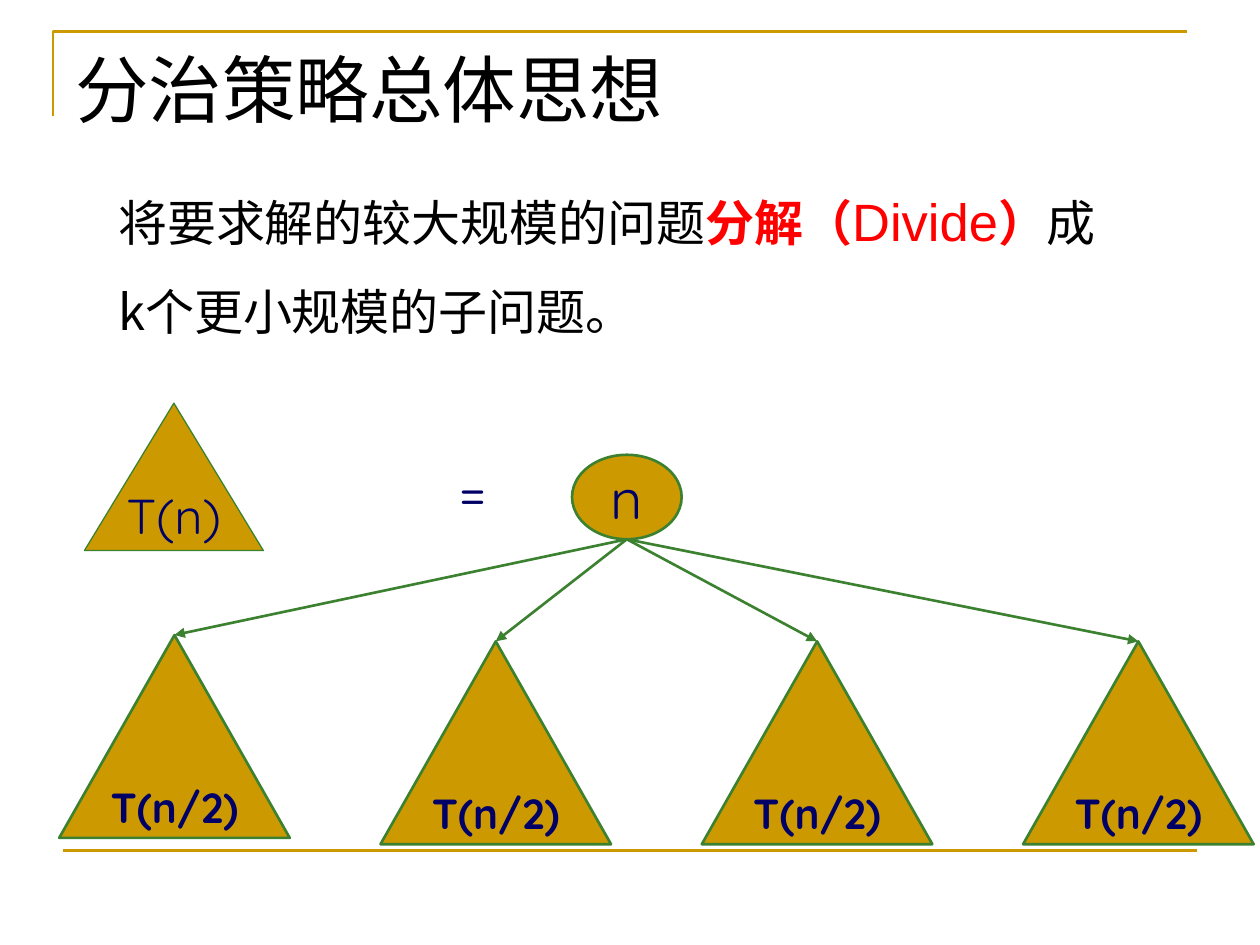
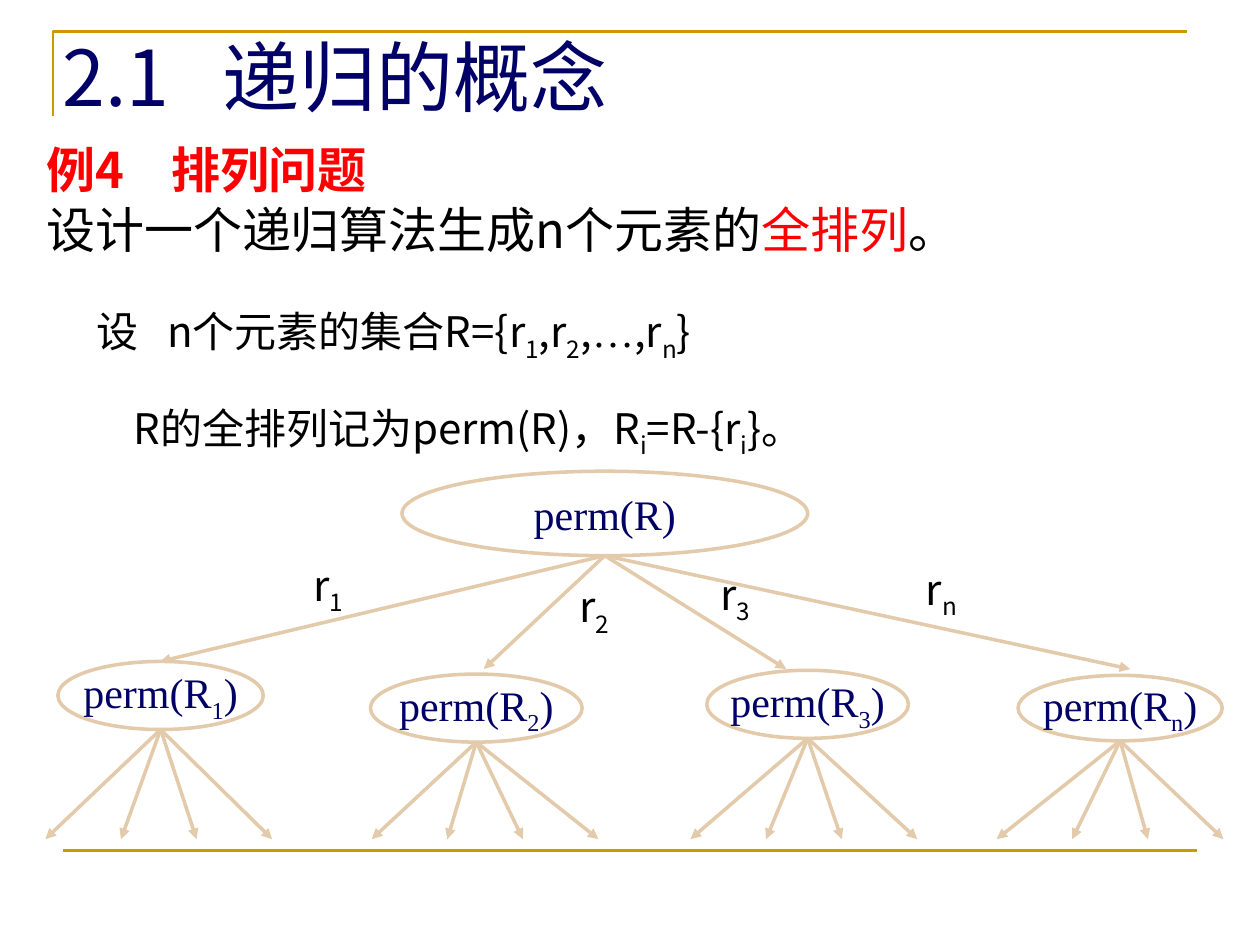
import pptx
import pptx.dml.color
import pptx.enum.shapes
import pptx.enum.text
import pptx.oxml.ns
import pptx.util
from lxml import etree
from pptx.util import Inches

RGB = pptx.dml.color.RGBColor
GOLD = RGB(0xCC, 0x99, 0x00)
GREEN = RGB(0x3B, 0x81, 0x2F)
NAVY = RGB(0x00, 0x00, 0x66)
SAND = RGB(0xE2, 0xCA, 0xAA)
RED = RGB(0xFF, 0x00, 0x00)
BLACK = RGB(0x00, 0x00, 0x00)
WHITE = RGB(0xFF, 0xFF, 0xFF)

CJK = "Noto Sans CJK SC"
ROMAN = "Times New Roman"
ROUND = "Quicksand"
SHAPES = pptx.enum.shapes.MSO_SHAPE
CENTER = pptx.enum.text.PP_ALIGN.CENTER
TOP = pptx.enum.text.MSO_ANCHOR.TOP
MIDDLE = pptx.enum.text.MSO_ANCHOR.MIDDLE
BOTTOM = pptx.enum.text.MSO_ANCHOR.BOTTOM

# Content: a run is (text, changes to the style of its box)
SUB = {"sub": True}
RED_BOLD = {"color": RED, "bold": True}

DIVIDE_TITLE = [[("分治策略总体思想", {})]]
DIVIDE_TEXT = [[
    ("将要求解的较大规模的问题", {}),
    ("分解（", RED_BOLD),
    ("Divide", {"color": RED, "size": 30, "font": "Arial"}),
    ("）", RED_BOLD),
    ("成\vk个更小规模的子问题。", {}),
]]
WHOLE, EQUALS, NODE, PART = "T(n)", "=", "n", "T(n/2)"
PART_TOPS = [5.04, 5.09, 5.09, 5.09]

RECURSION_TITLE = [[("2.1\t递归的概念", {})]]
EXAMPLE = [
    [("例4\t排列问题", RED_BOLD)],
    [("设计一个递归算法生成n个元素的", {}), ("全排列", {"color": RED}), ("。", {})],
]
DEFINITION = [
    [("设\tn个元素的集合R={r", {}), ("1", SUB), (",r", {}), ("2", SUB), (",", {}),
     ("…", {"font": ROMAN}), (",r", {}), ("n", SUB), ("}", {})],
    [("R的全排列记为perm(R)，R", {}), ("i", SUB), ("=R-{r", {}), ("i", SUB), ("}。", {})],
]
ROOT_BOX = (3.19, 3.74, 3.22, 0.67)
# index, node box, arrow tip, label corner, left end of the fan below
BRANCHES = [
    ("1", (0.46, 5.25, 1.63, 0.54), (1.27, 5.25), (2.39, 4.39), 0.36),
    ("2", (2.94, 5.35, 1.68, 0.54), (3.84, 5.31), (4.50, 4.56), 2.95),
    ("3", (5.61, 5.32, 1.60, 0.54), (6.24, 5.31), (5.62, 4.46), 5.48),
    ("n", (8.08, 5.36, 1.62, 0.52), (8.97, 5.31), (7.25, 4.42), 7.91),
]
FAN_STEP, FAN_BOTTOM = 0.6, 6.66


def add_xml(parent, tag, **attributes):
    return etree.SubElement(parent, pptx.oxml.ns.qn(tag), attributes)


def write(shape, paragraphs, font, size, color, bold=False, align=None, anchor=TOP,
          wrap=True, spacing=None, before=0, tab=None, indents=()):
    """Fill a shape with paragraphs, each a list of runs."""
    frame = shape.text_frame
    frame.word_wrap = wrap
    frame.vertical_anchor = anchor
    base = {"font": font, "size": size, "color": color, "bold": bold, "sub": False}
    for number, runs in enumerate(paragraphs):
        paragraph = frame.add_paragraph() if number else frame.paragraphs[0]
        paragraph.alignment = align
        if spacing:
            paragraph.line_spacing = spacing
        if number and before:
            paragraph.space_before = pptx.util.Pt(before)
        properties = paragraph._p.get_or_add_pPr()
        if number < len(indents):
            properties.set("marL", str(Inches(indents[number])))
        if tab and any("\t" in text for text, _ in runs):
            stops = add_xml(properties, "a:tabLst")
            add_xml(stops, "a:tab", pos=str(Inches(tab)), algn="l")
        for text, changes in runs:
            style = {**base, **changes}
            for line_number, line in enumerate(text.split("\v")):
                if line_number:
                    paragraph.add_line_break()
                run = paragraph.add_run()
                run.text = line
                run.font.name = style["font"]
                run.font.size = pptx.util.Pt(style["size"])
                run.font.bold = style["bold"]
                run.font.color.rgb = style["color"]
                run_properties = run._r.get_or_add_rPr()
                east_asian = CJK if style["font"] == ROMAN else style["font"]
                add_xml(run_properties, "a:ea", typeface=east_asian)
                if style["sub"]:
                    run_properties.set("baseline", "-25000")


def add_text(slide, box, paragraphs, **style):
    write(slide.shapes.add_textbox(*map(Inches, box)), paragraphs, **style)


def add_node(slide, kind, box, fill, line, width, paragraphs, anchor=MIDDLE, **style):
    shape = slide.shapes.add_shape(kind, *map(Inches, box))
    shape.shadow.inherit = False
    shape.fill.solid()
    shape.fill.fore_color.rgb = fill
    shape.line.color.rgb = line
    shape.line.width = pptx.util.Pt(width)
    write(shape, paragraphs, color=NAVY, align=CENTER, anchor=anchor, wrap=False, **style)


def add_triangle(slide, box, width, label, **style):
    """Gold triangle whose label sits at the wide base."""
    add_node(slide, SHAPES.ISOSCELES_TRIANGLE, box, GOLD, GREEN, width,
             [[(label, {})]], anchor=BOTTOM, font=ROUND, **style)


def add_line(slide, start, end, color, width, arrow=True):
    connector = slide.shapes.add_connector(
        pptx.enum.shapes.MSO_CONNECTOR.STRAIGHT, *map(Inches, (*start, *end)))
    connector.line.color.rgb = color
    connector.line.width = pptx.util.Pt(width)
    if arrow:
        add_xml(connector.line._get_or_add_ln(), "a:tailEnd", type="triangle")
    add_xml(connector._element.spPr, "a:effectLst")


def bottom_center(box):
    left, top, width, height = box
    return left + width / 2, top + height


def add_framed_slide(presentation):
    """Blank slide with the gold corner and the bottom rule."""
    slide = presentation.slides.add_slide(presentation.slide_layouts[6])
    builder = slide.shapes.build_freeform(Inches(0.42), Inches(0.92))
    builder.add_line_segments(
        [(Inches(0.42), Inches(0.25)), (Inches(9.42), Inches(0.25))], close=False)
    corner = builder.convert_to_shape()
    corner.shadow.inherit = False
    corner.fill.background()
    corner.line.color.rgb = GOLD
    corner.line.width = pptx.util.Pt(1.5)
    add_line(slide, (0.5, 6.75), (9.5, 6.75), GOLD, 1.5, arrow=False)
    return slide


def build_divide_slide(presentation):
    slide = add_framed_slide(presentation)
    add_text(slide, (0.5, 0.3, 9, 1.25), DIVIDE_TITLE, font=ROMAN, size=42, color=BLACK)

    # Problem node and its four parts
    node_box = (4.54, 3.61, 0.87, 0.67)
    add_node(slide, SHAPES.OVAL, node_box, GOLD, GREEN, 1.5,
             [[(NODE, {})]], font=ROUND, size=32)
    part_width, part_height, part_step = 1.83, 1.61, 2.55
    for column, top in enumerate(PART_TOPS):
        left = 0.47 + column * part_step
        add_line(slide, bottom_center(node_box), (left + part_width / 2, top), GREEN, 1.5)
        add_triangle(slide, (left, top, part_width, part_height), 1.5, PART,
                     size=24, bold=True)

    # Whole problem, equals sign and explanation
    add_triangle(slide, (0.67, 3.2, 1.42, 1.17), 0.75, WHOLE, size=28)
    add_text(slide, (3.17, 3.57, 1.17, 0.64), [[(EQUALS, {})]],
             font=ROUND, size=32, color=NAVY, align=CENTER)
    add_text(slide, (0.84, 1.2, 8.5, 2.03), DIVIDE_TEXT,
             font=CJK, size=28, color=BLACK, spacing=1.5)


def build_recursion_slide(presentation):
    slide = add_framed_slide(presentation)
    add_text(slide, (0.4, 0.28, 8.5, 0.64), RECURSION_TITLE,
             font=CJK, size=44, color=NAVY, anchor=MIDDLE, tab=1.27)
    add_text(slide, (0.27, 1.15, 9.43, 0.95), EXAMPLE,
             font=CJK, size=28, color=BLACK, spacing=0.8, before=7, tab=0.99)
    add_text(slide, (0.67, 2.15, 8.44, 1.55), DEFINITION,
             font=CJK, size=24, color=BLACK, spacing=1.5, before=6, tab=0.56,
             indents=(0, 0.29))

    # Permutation tree
    node_style = {"font": ROMAN, "size": 24}
    add_node(slide, SHAPES.OVAL, ROOT_BOX, WHITE, SAND, 2, [[("perm(R)", {})]], **node_style)
    for index, box, tip, label_corner, fan_left in BRANCHES:
        add_line(slide, bottom_center(ROOT_BOX), tip, SAND, 2)
        add_node(slide, SHAPES.OVAL, box, WHITE, SAND, 2,
                 [[("perm(R", {}), (index, SUB), (")", {})]], **node_style)
        for ray in range(4):
            end = (fan_left + ray * FAN_STEP, FAN_BOTTOM)
            add_line(slide, bottom_center(box), end, SAND, 2)
        add_text(slide, (*label_corner, 0.51, 0.56), [[("r", {}), (index, SUB)]],
                 font=CJK, size=24, color=BLACK, wrap=False)


def main():
    presentation = pptx.Presentation()
    presentation.slide_width = Inches(10)
    presentation.slide_height = Inches(7.5)
    build_divide_slide(presentation)
    build_recursion_slide(presentation)
    presentation.save("out.pptx")


if __name__ == "__main__":
    main()
